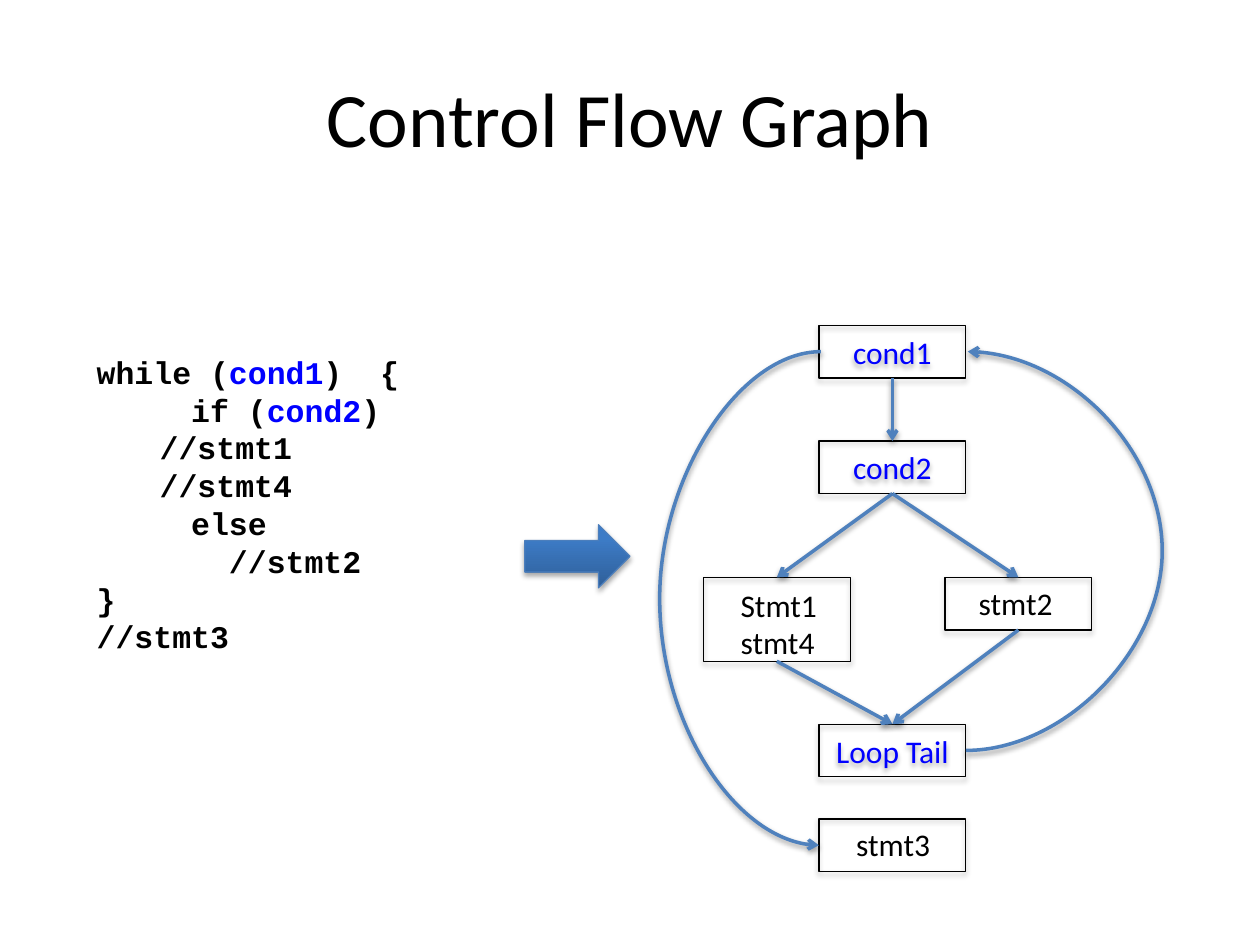
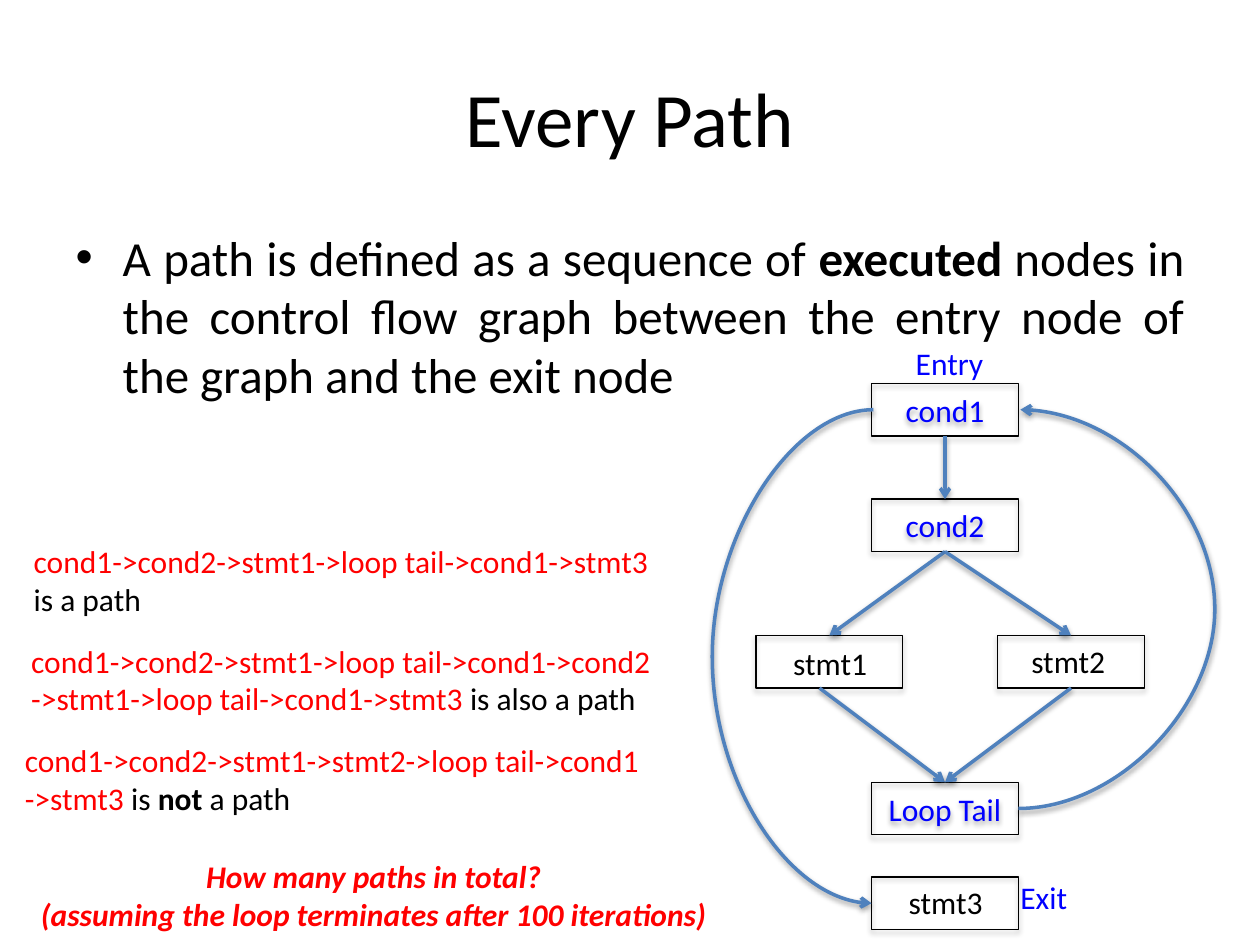
from copy import deepcopy

from lxml.etree import SubElement
from pptx import Presentation
from pptx.dml.color import RGBColor
from pptx.enum.shapes import MSO_CONNECTOR as Link, MSO_SHAPE as Preset
from pptx.enum.text import MSO_ANCHOR as Anchor, MSO_AUTO_SIZE as AutoSize, PP_ALIGN as Align
from pptx.oxml.ns import qn
from pptx.util import Cm, Pt

# Shared look
BLACK = RGBColor(0x00, 0x00, 0x00)
BLUE = RGBColor(0x00, 0x00, 0xFF)
RED = RGBColor(0xFF, 0x00, 0x00)
EDGE = RGBColor(0x4F, 0x81, 0xBD)
ARROW_LINE = RGBColor(0x4B, 0x7E, 0xBC)
ARROW_STOPS = [(0, RGBColor(0x2F, 0x5F, 0x99)), (0.8, RGBColor(0x3D, 0x7C, 0xC7)),
               (1, RGBColor(0x3A, 0x7C, 0xCB))]
SANS, MONO = "Calibri", "Courier New"

# Graph measures in centimetres; node places count from the corner of cond1
NODE_WIDTH, NODE_HEIGHT = 2.96, 1.06
LOOP_STEP = 0.04
NODES = {"cond1": (0, 0), "cond2": (0, 2.33), "stmt1": (-2.33, 5.08),
         "stmt2": (2.54, 5.08), "Loop Tail": (0, 8.04), "stmt3": (0, 9.95)}
STATEMENTS = ("stmt1", "stmt2", "stmt3")


def write(box, *lines, size=18, font=SANS, color=BLACK, bold=False, italic=False, align=None):
    """Each line is a string or a list of spans; a span is a string or (string, changes)."""
    frame = box.text_frame
    for index, line in enumerate(lines):
        para = frame.add_paragraph() if index else frame.paragraphs[0]
        if align is not None:
            para.alignment = align
        for span in [line] if isinstance(line, str) else line:
            text, changes = (span, {}) if isinstance(span, str) else span
            run = para.add_run()
            run.text = text
            run.font.name = font
            run.font.size = Pt(size)
            run.font.bold = changes.get("bold", bold)
            run.font.italic = italic
            run.font.color.rgb = changes.get("color", color)


def place(box, left, top, width, height):
    box.left, box.top, box.width, box.height = Cm(left), Cm(top), Cm(width), Cm(height)


def add_text(page, left, top, width, height, *lines, wrap=False, **style):
    box = page.shapes.add_textbox(Cm(left), Cm(top), Cm(width), Cm(height))
    box.text_frame.word_wrap = wrap
    box.text_frame.auto_size = AutoSize.SHAPE_TO_FIT_TEXT
    write(box, *lines, **style)


def add_shadow(item, distance, opacity):
    effects = SubElement(item._element.spPr, qn("a:effectLst"))
    shadow = SubElement(effects, qn("a:outerShdw"), blurRad="40000", dist=str(distance),
                        dir="5400000", rotWithShape="0")
    tone = SubElement(shadow, qn("a:srgbClr"), val=str(BLACK))
    SubElement(tone, qn("a:alpha"), val=str(opacity * 1000))


def add_preset(page, preset, left, top, width, height, line_color):
    shape = page.shapes.add_shape(preset, Cm(left), Cm(top), Cm(width), Cm(height))
    shape.fill.background()
    shape.line.color.rgb = line_color
    shape.line.width = Pt(0.75)
    add_shadow(shape, 23000, 35)
    return shape


def add_edge(page, start, end, reach=None):
    """Straight arrow, or a curved one that swings out by reach centimetres."""
    kind = Link.STRAIGHT if reach is None else Link.CURVE
    edge = page.shapes.add_connector(kind, *(Cm(value) for value in (*start, *end)))
    edge.line.color.rgb = EDGE
    edge.line.width = Pt(2)
    SubElement(edge.line._get_or_add_ln(), qn("a:tailEnd"), type="arrow")
    add_shadow(edge, 20000, 38)
    if reach is not None:
        guides = edge._element.spPr.find(qn("a:prstGeom")).get_or_add_avLst()
        bend = round(reach / LOOP_STEP * 100000)
        SubElement(guides, qn("a:gd"), name="adj1", fmla=f"val {bend}")


def add_graph(page, left, top, first_lines=("stmt1",), first_height=NODE_HEIGHT, exit_shift=0):
    heights = {"stmt1": first_height}

    def port(name, across, down):
        x, y = NODES[name]
        return (left + x + across * NODE_WIDTH,
                top + y + down * heights.get(name, NODE_HEIGHT))

    # Nodes
    for name in NODES:
        x, y = port(name, 0, 0)
        node = add_preset(page, Preset.RECTANGLE, x, y, NODE_WIDTH,
                          heights.get(name, NODE_HEIGHT), BLACK)
        if name not in STATEMENTS:
            node.text_frame.vertical_anchor = Anchor.MIDDLE
            write(node, name, color=BLUE, align=Align.CENTER)

    # Straight edges
    for source, target in [("cond1", "cond2"), ("cond2", "stmt1"), ("cond2", "stmt2"),
                           ("stmt1", "Loop Tail"), ("stmt2", "Loop Tail")]:
        x, y = port(source, 0.5, 1)
        shift = exit_shift if source == "stmt1" else 0
        add_edge(page, (x + shift, y), port(target, 0.5, 0))

    # Loop back on the right, loop exit on the left
    x, y = port("cond1", 1, 0.5)
    add_edge(page, port("Loop Tail", 1, 0.5), (x + LOOP_STEP, y), reach=3.96)
    x, y = port("cond1", 0, 0.5)
    add_edge(page, (x + LOOP_STEP, y), port("stmt3", 0, 0.5), reach=3.25)

    # Statement labels
    for name in STATEMENTS:
        x, y = port(name, 0, 0)
        lines = first_lines if name == "stmt1" else (name,)
        inset = 0.43 if name == "stmt2" else 0.5
        add_text(page, x + inset, y + (0.04 if name == "stmt1" else 0), 2.04,
                 1.02 if len(lines) == 1 else 1.8, *lines)


def add_page(deck, layout, title):
    page = deck.slides.add_slide(deck.slide_layouts[layout])
    box = page.shapes.title
    place(box, 1.27, 0.76, 22.86, 3.18)
    box.text_frame.vertical_anchor = Anchor.MIDDLE
    write(box, title, size=44, align=Align.CENTER)
    return page


def add_block_arrow(page):
    arrow = add_preset(page, Preset.RIGHT_ARROW, 10.58, 10.58, 2.12, 1.27, ARROW_LINE)
    arrow.fill.gradient()
    arrow.fill.gradient_angle = 90
    stops = arrow._element.spPr.find(".//" + qn("a:gsLst"))
    stops.append(deepcopy(stops[-1]))
    for stop, (position, color) in zip(arrow.fill.gradient_stops, ARROW_STOPS):
        stop.position = position
        stop.color.rgb = color


def add_definition(page):
    body = page.placeholders[1]
    place(body, 1.27, 4.45, 22.86, 12.57)
    para = body.text_frame.paragraphs[0]
    para.space_before = Pt(0)
    settings = para._p.get_or_add_pPr()
    settings.set("marL", str(Cm(0.95)))
    settings.set("indent", str(-Cm(0.95)))
    SubElement(settings, qn("a:buChar"), char="•")
    write(body, ["A path is defined as a sequence of ", ("executed", {"bold": True}),
                 " nodes in the control flow graph between the entry node of "
                 "the graph and the exit node"], size=28, align=Align.JUSTIFY)


def build_graph_page(deck):
    page = add_page(deck, 5, "Control Flow Graph")
    blue = {"color": BLUE}
    add_text(page, 1.7, 6.99, 7.42, 6.4,
             ["while (", ("cond1", blue), ")  {"],
             ["     if (", ("cond2", blue), ")"],
             "\t//stmt1", "\t//stmt4", "     else", "       //stmt2", "}", "//stmt3",
             wrap=True, font=MONO, bold=True)
    add_block_arrow(page)
    add_graph(page, 16.51, 6.56, first_lines=("Stmt1", "stmt4"), first_height=1.69)


def build_path_page(deck):
    page = add_page(deck, 1, "Every Path")
    add_definition(page)
    add_graph(page, 17.57, 7.73, exit_shift=-0.2)

    # Example paths
    black = {"color": BLACK}
    examples = [
        (0.43, ["cond1->cond2->stmt1->loop tail->cond1->stmt3", [("is a path", black)]]),
        (0.38, ["cond1->cond2->stmt1->loop tail->cond1->cond2",
                ["->stmt1->loop tail->cond1->stmt3 ", ("is also a path", black)]]),
        (0.25, ["cond1->cond2->stmt1->stmt2->loop tail->cond1",
                ["->stmt3 ", ("is ", black), ("not", {"color": BLACK, "bold": True}),
                 (" a path", black)]]),
    ]
    for index, (left, lines) in enumerate(examples):
        add_text(page, left, 10.8 + index * 2.01, 13.1, 1.8, *lines, color=RED)

    # Question and end labels
    add_text(page, 0.41, 17.15, 14.25, 1.8, "How many paths in total?",
             "(assuming the loop terminates after 100 iterations)",
             color=RED, bold=True, italic=True, align=Align.CENTER)
    add_text(page, 18.21, 6.81, 1.9, 1.02, "Entry", color=BLUE)
    add_text(page, 20.32, 17.58, 1.47, 1.02, "Exit", color=BLUE)


def main():
    deck = Presentation()
    deck.slide_width, deck.slide_height = Cm(25.4), Cm(19.05)
    build_graph_page(deck)
    build_path_page(deck)
    deck.save("out.pptx")


if __name__ == "__main__":
    main()
